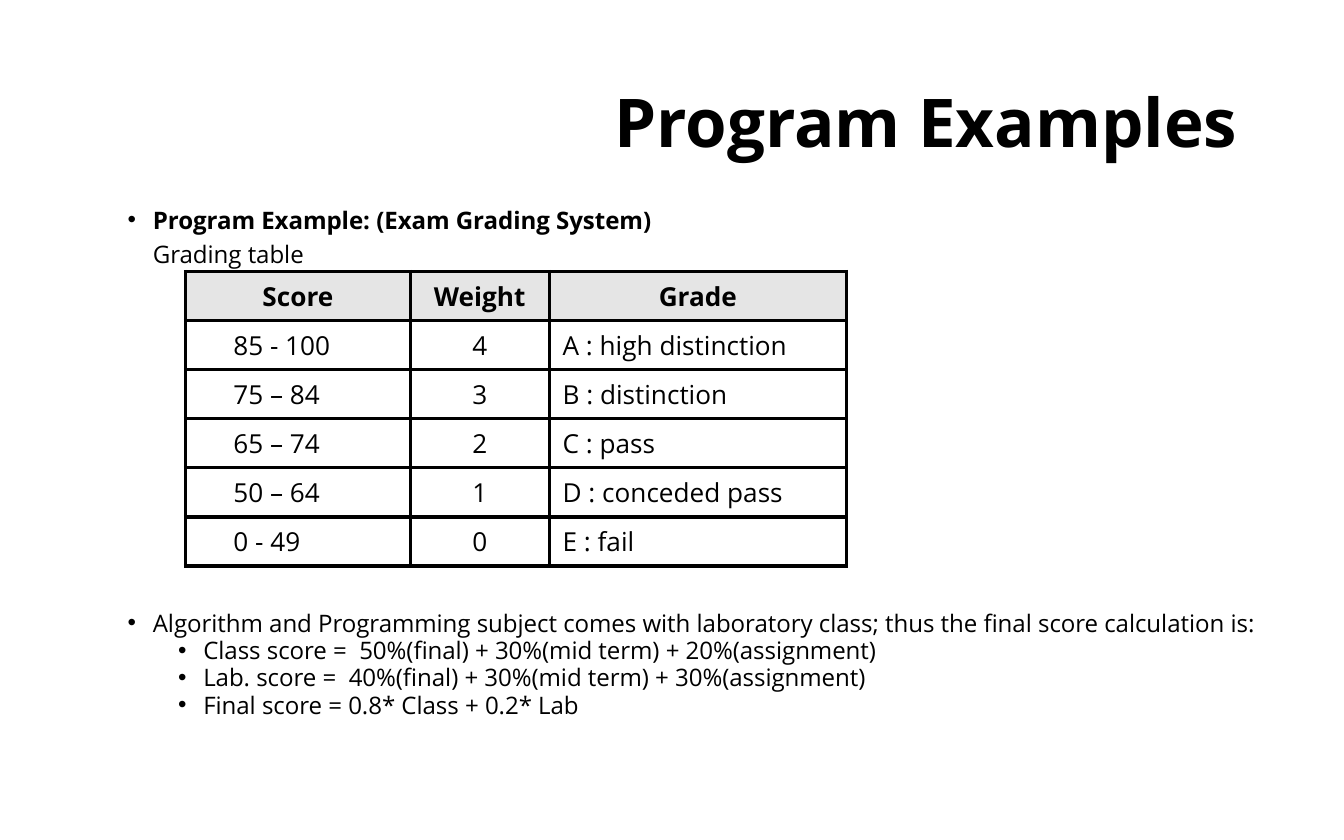
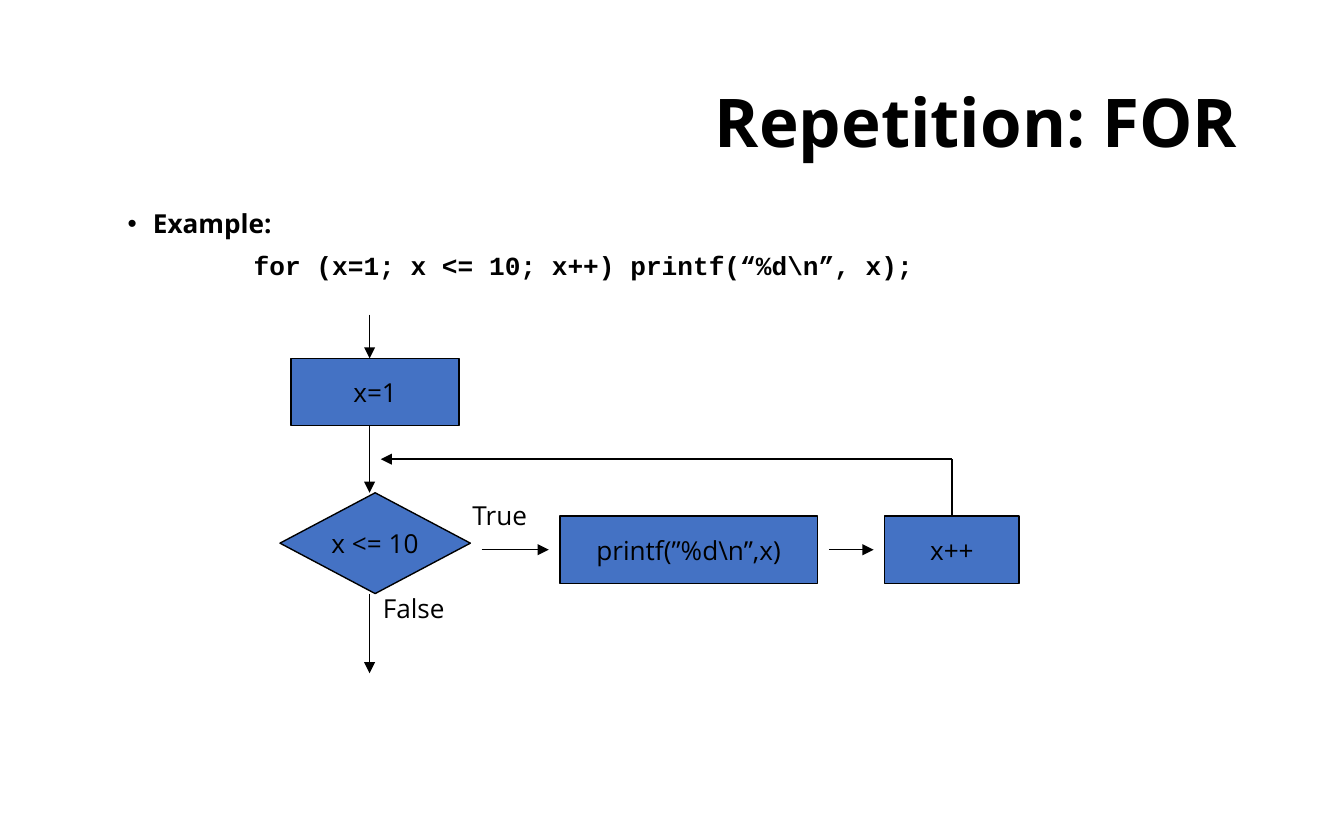
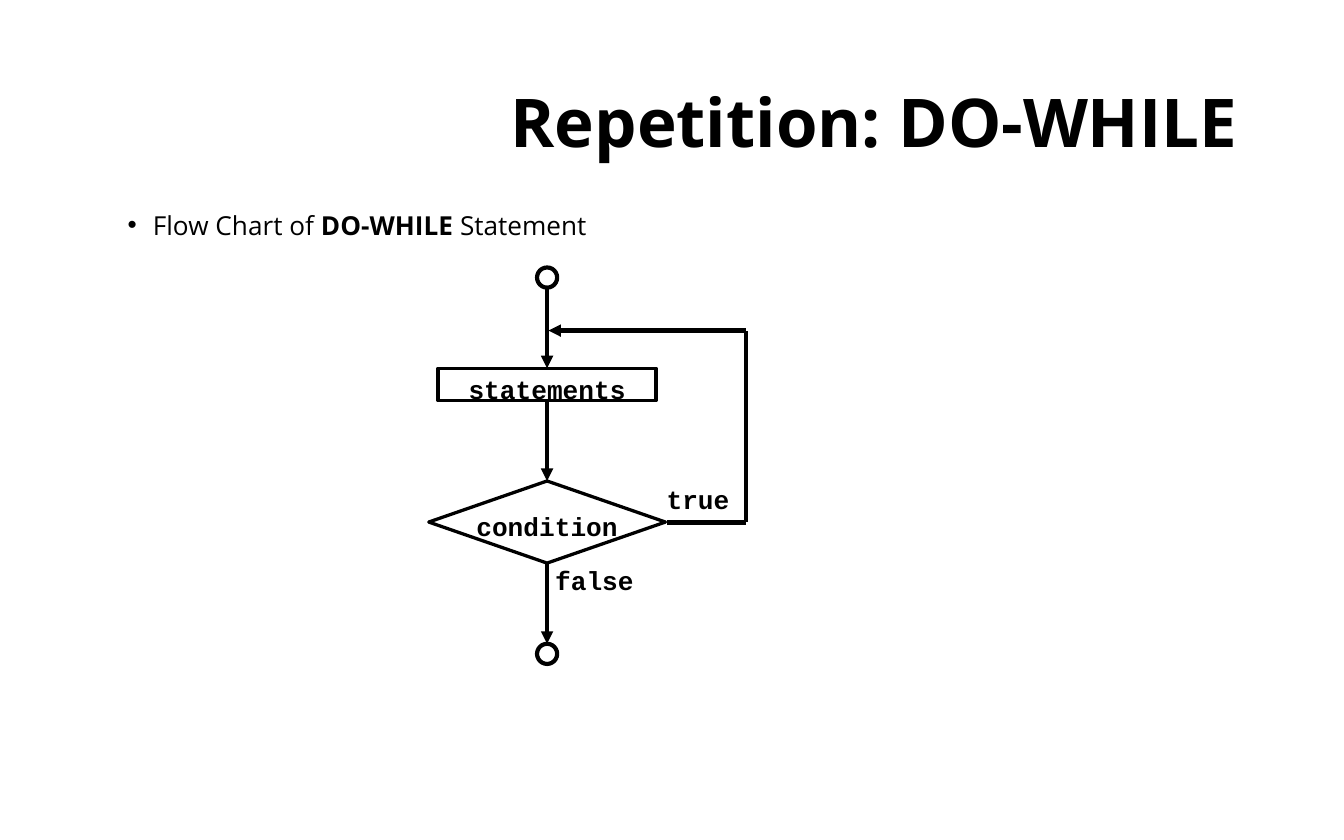
from collections import namedtuple
from dataclasses import dataclass

from lxml import etree
from pptx import Presentation
from pptx.dml.color import RGBColor
from pptx.enum.shapes import MSO_CONNECTOR, MSO_SHAPE
from pptx.enum.text import MSO_ANCHOR, MSO_AUTO_SIZE, PP_ALIGN
from pptx.oxml.ns import qn
from pptx.util import Pt

LEFT, CENTER, RIGHT, JUSTIFY = PP_ALIGN.LEFT, PP_ALIGN.CENTER, PP_ALIGN.RIGHT, PP_ALIGN.JUSTIFY
MIDDLE, NO_FIT, STRAIGHT = MSO_ANCHOR.MIDDLE, MSO_AUTO_SIZE.NONE, MSO_CONNECTOR.STRAIGHT
PROCESS, DECISION = MSO_SHAPE.FLOWCHART_PROCESS, MSO_SHAPE.FLOWCHART_DECISION
RECTANGLE, DIAMOND, CIRCLE = MSO_SHAPE.RECTANGLE, MSO_SHAPE.DIAMOND, MSO_SHAPE.OVAL

Box = namedtuple("Box", "left top width height")


@dataclass(frozen=True)
class Theme:
    ink: str = "000000"
    paper: str = "FFFFFF"
    accent: str = "4472C4"
    header: str = "E5E5E5"
    font: str = "Open Sans"
    code_font: str = "Courier New"
    title_size: float = 36
    text_size: float = 14
    small_size: float = 12.9
    thin: float = 0.75
    outline: float = 1.75
    border: float = 2
    thick: float = 2.25


THEME = Theme()
TITLE_BOX = Box(157.7, 23.8, 512.6, 87.1)
BODY_BOX = Box(61.2, 109.4, 637.2, 296.6)
INDENT = 13.5


def points(box):
    return [Pt(length) for length in box]


def within(box, left, top, width, height):
    return Box(box.left + left, box.top + top, width, height)


def add_text(para, text, size=THEME.text_size, bold=False, font=THEME.font, align=None):
    span = para.add_run()
    span.text = text
    span.font.size, span.font.bold, span.font.name = Pt(size), bold, font
    span.font.color.rgb = RGBColor.from_string(THEME.ink)
    if align is not None:
        para.alignment = align


def place(shape, box):
    shape.left, shape.top, shape.width, shape.height = points(box)
    shape.text_frame.auto_size = NO_FIT
    shape.text_frame.word_wrap = True
    return shape.text_frame


def add_page(deck, title, body_box=BODY_BOX):
    """Add a slide with its title and return it with the empty body frame."""
    page = deck.slides.add_slide(deck.slide_layouts[1])
    frame = place(page.shapes.title, TITLE_BOX)
    frame.vertical_anchor = MIDDLE
    para = frame.paragraphs[0]
    para.line_spacing = 0.9
    add_text(para, title, size=THEME.title_size, bold=True, align=RIGHT)
    return page, place(page.placeholders[1], body_box)


def add_item(frame, first=False, level=0, bullet=True, margin=INDENT, before=7.5, spacing=0.8):
    """Start a list paragraph whose text begins at the given margin."""
    para = frame.paragraphs[0] if first else frame.add_paragraph()
    para.level, para.alignment = level, LEFT
    para.space_before, para.line_spacing = Pt(before), spacing
    properties = para._p.get_or_add_pPr()
    properties.set("marL", str(Pt(margin)))
    properties.set("indent", str(Pt(-INDENT if bullet else 0)))
    if bullet:
        etree.SubElement(properties, qn("a:buFont"), typeface="Arial")
        etree.SubElement(properties, qn("a:buChar"), char="•")
    else:
        etree.SubElement(properties, qn("a:buNone"))
    return para


def add_node(page, kind, box, text="", fill=None, weight=THEME.thin):
    shape = page.shapes.add_shape(kind, *points(box))
    shape.shadow.inherit = False
    if fill:
        shape.fill.solid()
        shape.fill.fore_color.rgb = RGBColor.from_string(fill)
    else:
        shape.fill.background()
    shape.line.color.rgb = RGBColor.from_string(THEME.ink)
    shape.line.width = Pt(weight)
    if text:
        shape.text_frame.word_wrap = False
        shape.text_frame.vertical_anchor = MIDDLE
        add_text(shape.text_frame.paragraphs[0], text, align=CENTER)


def add_line(page, box, start, end, weight=THEME.thin, arrow=True):
    ends = [Pt(origin + offset) for point in (start, end)
            for origin, offset in zip((box.left, box.top), point)]
    line = page.shapes.add_connector(STRAIGHT, *ends)
    line.line.color.rgb = RGBColor.from_string(THEME.ink)
    line.line.width = Pt(weight)
    if arrow:
        etree.SubElement(line.line._get_or_add_ln(), qn("a:tailEnd"), type="triangle")
    etree.SubElement(line._element.spPr, qn("a:effectLst"))


def add_label(page, box, text, inset=True, **style):
    frame = page.shapes.add_textbox(*points(box)).text_frame
    frame.word_wrap = True
    if not inset:
        frame.margin_left = frame.margin_right = frame.margin_top = frame.margin_bottom = 0
    add_text(frame.paragraphs[0], text, **style)


def style_cell(cell, fill=None):
    properties = cell._tc.get_or_add_tcPr()
    for side in ("lnL", "lnR", "lnT", "lnB"):
        edge = etree.SubElement(properties, qn(f"a:{side}"), w=str(Pt(THEME.border)))
        color = etree.SubElement(edge, qn("a:solidFill"))
        etree.SubElement(color, qn("a:srgbClr"), val=THEME.ink)
    if fill:
        cell.fill.solid()
        cell.fill.fore_color.rgb = RGBColor.from_string(fill)
    else:
        cell.fill.background()


def add_grading_table(page, box):
    rows = [
        ("Score", "Weight", "Grade"),
        ("85 - 100", "4", "A : high distinction"),
        ("75 – 84", "3", "B : distinction"),
        ("65 – 74", "2", "C : pass"),
        ("50 – 64", "1", "D : conceded pass"),
        ("0 - 49", "0", "E : fail"),
    ]
    shares = (0.34, 0.21, 0.45)
    score_margin = 25.6
    table = page.shapes.add_table(len(rows), len(shares), *points(box)).table
    table.first_row = table.horz_banding = False
    for column, share in zip(table.columns, shares):
        column.width = Pt(round(box.width * share, 1))
    for row_index, texts in enumerate(rows):
        table.rows[row_index].height = Pt(box.height / len(rows))
        is_header = row_index == 0
        for column_index, text in enumerate(texts):
            cell = table.cell(row_index, column_index)
            style_cell(cell, THEME.header if is_header else None)
            if column_index == 0 and not is_header:
                cell.margin_left = Pt(score_margin)
            add_text(cell.text_frame.paragraphs[0], text, bold=is_header,
                     align=CENTER if is_header or column_index == 1 else LEFT)


def add_for_chart(page, box):
    spine, loop_x, loop_y, branch_y = 48, 360, 78, 126.5
    nodes = [
        (PROCESS, "x=1", (6, 24, 90, 36)),
        (DECISION, "x <= 10", (0, 96, 102, 54)),
        (PROCESS, r"printf(”%d\n”,x)", (150, 108.5, 138, 36)),
        (PROCESS, "x++", (324, 108.5, 72, 36)),
    ]
    for kind, text, spot in nodes:
        add_node(page, kind, within(box, *spot), text, THEME.accent)
    for top, bottom in ((0.5, 24), (60, 96), (150, 192.7)):
        add_line(page, box, (spine, top), (spine, bottom))
    for left, right in ((108, 144), (294, 318)):
        add_line(page, box, (left, branch_y), (right, branch_y))
    add_line(page, box, (loop_x, 108.5), (loop_x, loop_y), arrow=False)
    add_line(page, box, (loop_x, loop_y), (54, loop_y))
    add_label(page, within(box, spine, 146, 60, 24.5), "False")
    add_label(page, within(box, 96, 96, 48, 24.5), "True")


def add_do_while_chart(page, box):
    spine, dot = 63.4, 10.8
    loop_y, branch_y, loop_x = 33.8, 136.6, box.width
    weight = THEME.thick
    for top in (0, box.height - dot):
        add_node(page, CIRCLE, within(box, spine - dot / 2, top, dot, dot), weight=weight)
    for top, bottom in ((dot, 54), (71.4, 114.4), (158.4, box.height - dot)):
        add_line(page, box, (spine, top), (spine, bottom), weight)
    corners = [(127.4, branch_y), (loop_x, branch_y), (loop_x, loop_y), (spine + 0.7, loop_y)]
    for start, end in zip(corners, corners[1:]):
        add_line(page, box, start, end, weight, arrow=end == corners[-1])
    for kind, spot in ((RECTANGLE, (5, 54, 116.8, 17.4)), (DIAMOND, (0, 114.4, 126.8, 44))):
        add_node(page, kind, within(box, *spot), fill=THEME.paper, weight=THEME.outline)
    labels = [
        ("statements", (20.9, 56.9, 85, 15.4), CENTER),
        ("condition", (20.9, 130.3, 85, 15.4), CENTER),
        ("true", (127.4, 115.9, 37.4, 21.6), LEFT),
        ("false", (67.7, 159.1, 46, 21.6), LEFT),
    ]
    for text, spot, align in labels:
        add_label(page, within(box, *spot), text, inset=False, bold=True,
                  font=THEME.code_font, align=align)


def add_grading_page(deck):
    page, body = add_page(deck, "Program Examples")
    size = THEME.small_size
    add_text(add_item(body, first=True, before=5.9), "Program Example: (Exam Grading System)",
             size=size, bold=True)
    add_text(add_item(body, bullet=False, before=5.9), "Grading table", size=size)
    table_gap = 185.2
    add_text(add_item(body, before=table_gap),
             "Algorithm and Programming subject comes with laboratory class; "
             "thus the final score calculation is:", size=size)
    for formula in ("Class score =  50%(final) + 30%(mid term) + 20%(assignment)",
                    "Lab. score =  40%(final) + 30%(mid term) + 30%(assignment)",
                    "Final score = 0.8* Class + 0.2* Lab"):
        add_text(add_item(body, level=1, margin=3 * INDENT, before=2.2), formula, size=size)
    add_grading_table(page, Box(99.4, 145.4, 354.2, 144))


def add_for_page(deck):
    page, body = add_page(deck, "Repetition: FOR")
    add_text(add_item(body, first=True, spacing=0.9), "Example:", bold=True)
    add_text(add_item(body, bullet=False, margin=5 * INDENT, spacing=0.9),
             r"for (x=1; x <= 10; x++) printf(“%d\n”, x);", bold=True, font=THEME.code_font)
    add_for_chart(page, Box(150, 168, 396, 193))


def add_do_while_page(deck):
    page, body = add_page(deck, "Repetition: DO-WHILE", BODY_BOX._replace(top=111.6))
    para = add_item(body, first=True)
    for text, bold in (("Flow Chart of ", False), ("DO-WHILE ", True), ("Statement", False)):
        add_text(para, text, bold=bold, align=JUSTIFY)
    add_do_while_chart(page, Box(229.7, 143.3, 169.9, 212.4))


def main():
    deck = Presentation()
    deck.slide_width, deck.slide_height = Pt(720), Pt(450)
    add_grading_page(deck)
    add_for_page(deck)
    add_do_while_page(deck)
    deck.save("out.pptx")


if __name__ == "__main__":
    main()
